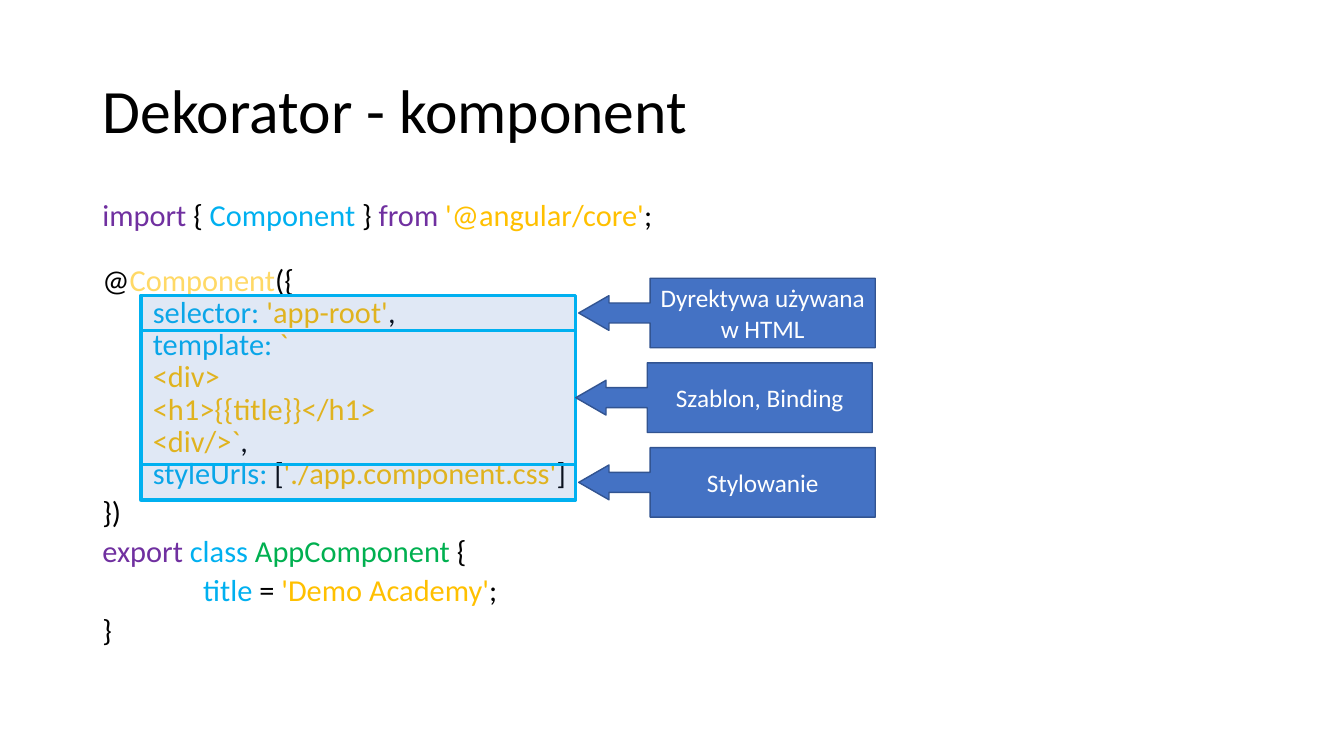
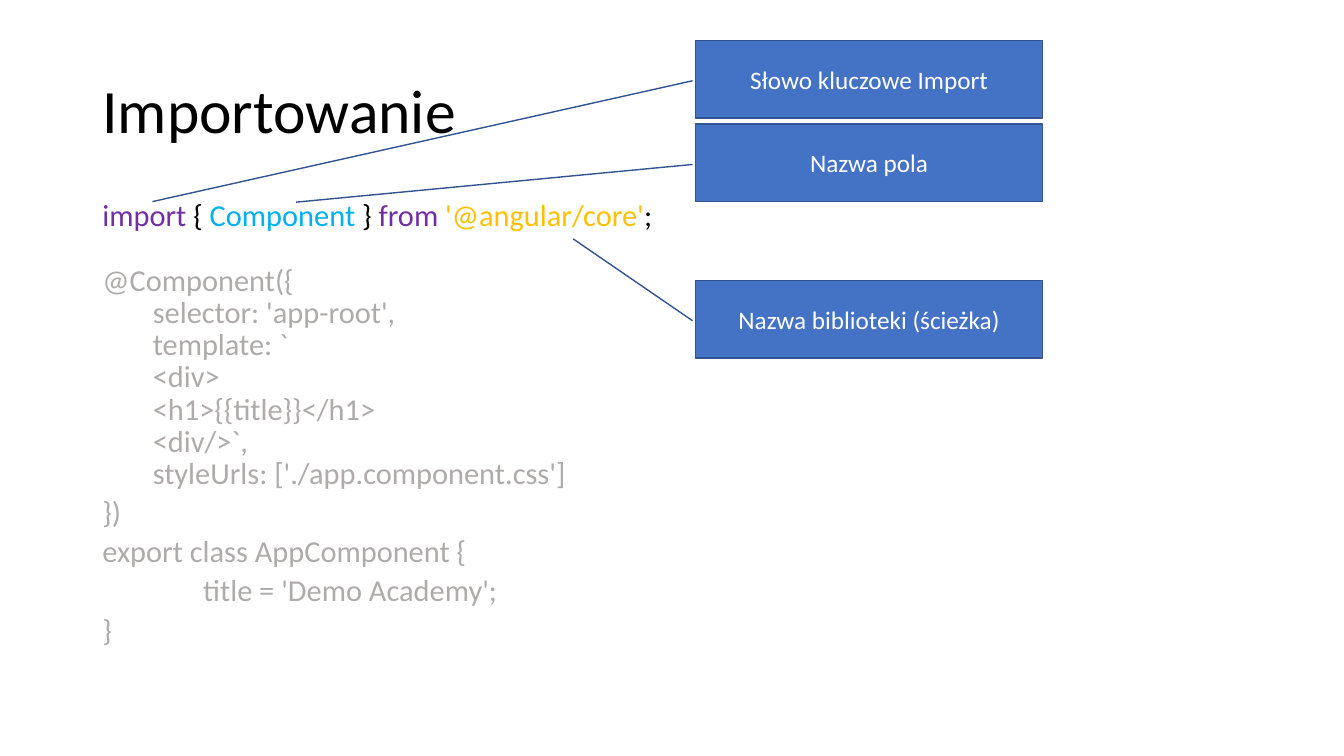
"""Builds two slides that explain an Angular component and its import."""
from itertools import accumulate

from lxml.etree import SubElement
from pptx import Presentation
from pptx.dml.color import RGBColor
from pptx.enum.shapes import MSO_SHAPE
from pptx.enum.text import MSO_ANCHOR, MSO_AUTO_SIZE, PP_ALIGN
from pptx.oxml.ns import qn
from pptx.util import Inches, Pt

W, H = Inches(13.33), Inches(7.5)
FONT = "Calibri"
COLORS = {
    "black": "000000", "white": "FFFFFF", "keyword": "7030A0",
    "name": "00B0F0", "string": "FFC000", "decorator": "FFD966",
    "type": "00B050", "muted": "AFABAB", "accent": "4472C4", "edge": "325491",
}
LEFT, WIDTH = 6.88, 86.27
TITLE_BOX = (LEFT, 5.33, WIDTH, 19.33)
CODE_BOX = (LEFT, 26.67, WIDTH, 63.47)

# (indent in inches, space before in points, coloured parts)
CODE = [
    (0, 10, [("import", "keyword"), (" { ", "black"), ("Component", "name"),
             (" } ", "black"), ("from ", "keyword"),
             ("'@angular/core'", "string"), (";", "black")]),
    (0, 28.3, [("@", "black"), ("Component", "decorator"), ("({", "black")]),
    (0.5, 5, [("selector: ", "name"), ("'app-root'", "string"), (",", "black")]),
    (0.5, 5, [("template: ", "name"), ("`", "string")]),
    (0.5, 5, [("<div>", "string")]),
    (0.5, 5, [("<h1>{{title}}</h1>", "string")]),
    (0.5, 5, [("<div/>`", "string"), (",", "black")]),
    (0.5, 5, [("styleUrls:", "name"), (" [", "black"),
              ("'./app.component.css'", "string"), ("]", "black")]),
    (0, 10, [("})", "black")]),
    (0, 10, [("export ", "keyword"), ("class ", "name"),
             ("AppComponent", "type"), (" {", "black")]),
    (1, 10, [("title", "name"), (" = ", "black"),
             ("'Demo Academy'", "string"), (";", "black")]),
    (0, 10, [("}", "black")]),
]


def rgb(key):
    return RGBColor.from_string(COLORS[key])


def box(x, y, w, h):
    """Turns percentages of the slide's size into lengths."""
    return [int(v * side / 100) for v, side in zip((x, y, w, h), (W, H, W, H))]


def style_run(r, size, color):
    r.font.name, r.font.size = FONT, Pt(size)
    r.font.color.rgb = rgb(color)


def add_titled_slide(prs, title):
    s = prs.slides.add_slide(prs.slide_layouts[5])
    sp = s.shapes.title
    sp.left, sp.top, sp.width, sp.height = box(*TITLE_BOX)
    tf = sp.text_frame
    tf.text = title
    tf.auto_size = MSO_AUTO_SIZE.NONE
    tf.vertical_anchor = MSO_ANCHOR.MIDDLE
    p = tf.paragraphs[0]
    p.alignment, p.line_spacing = PP_ALIGN.LEFT, 0.9
    style_run(p.runs[0], 44, "black")
    return s


def add_code(s, muted=False):
    """Writes the listing; when muted, only its first line keeps its colours."""
    tf = s.shapes.add_textbox(*box(*CODE_BOX)).text_frame
    tf.word_wrap = True
    for i, (indent, gap, parts) in enumerate(CODE):
        p = tf.add_paragraph() if i else tf.paragraphs[0]
        p.line_spacing, p.space_before = 0.69, Pt(gap)
        p._p.get_or_add_pPr().set("marL", str(Inches(indent)))
        for text, color in parts:
            r = p.add_run()
            r.text = text
            style_run(r, 21.7, "muted" if muted and i else color)


def add_box(shapes, kind, place, line, weight, adj=()):
    sp = shapes.add_shape(kind, *box(*place))
    sp.shadow.inherit = False
    sp.fill.solid()
    sp.fill.fore_color.rgb = rgb("accent")
    sp.line.color.rgb, sp.line.width = rgb(line), Pt(weight)
    for i, value in enumerate(adj):
        sp.adjustments[i] = value
    return sp


def add_frame(shapes, place):
    sp = add_box(shapes, MSO_SHAPE.RECTANGLE, place, "name", 2.5)
    color = sp._element.spPr.find(qn("a:solidFill"))[0]
    SubElement(color, qn("a:alpha")).set("val", "16000")


def add_callout(shapes, kind, place, adj, text):
    sp = add_box(shapes, kind, place, "edge", 1, adj)
    tf = sp.text_frame
    tf.text = text
    tf.word_wrap = True
    tf.vertical_anchor = MSO_ANCHOR.MIDDLE
    p = tf.paragraphs[0]
    p.alignment = PP_ALIGN.CENTER
    style_run(p.runs[0], 18, "white")


def build_component(prs):
    s = add_titled_slide(prs, "Dekorator - komponent")
    add_code(s)
    heights = [4.67, 17.73, 4.67]
    tops = accumulate(heights[:-1], initial=39.07)
    labels = [("Dyrektywa używana w HTML", 43.06), ("Szablon, Binding", 42.84),
              ("Stylowanie", 43.06)]
    callout_h = 9.2
    for top, h, (text, x) in zip(tops, heights, labels):
        shapes = s.shapes.add_group_shape().shapes
        add_frame(shapes, (10.5, top, 32.33, h))
        place = (x, top + (h - callout_h) / 2, 22.06, callout_h)
        add_callout(shapes, MSO_SHAPE.LEFT_ARROW_CALLOUT, place,
                    (0.287, 0.25, 0.435, 0.759), text)


def build_import(prs):
    s = add_titled_slide(prs, "Importowanie")
    add_code(s, muted=True)
    for text, top, tip in [
        ("Słowo kluczowe Import", 5.33, (2.079, -1.566)),
        ("Nazwa pola", 16.4, (1.008, -1.152)),
        ("Nazwa biblioteki (ścieżka)", 37.07, (-0.532, -0.353)),
    ]:
        add_callout(s.shapes, MSO_SHAPE.LINE_CALLOUT_1,
                    (51.76, top, 25.81, 10.27), (0.522, -0.009, *tip), text)


def main():
    prs = Presentation()
    prs.slide_width, prs.slide_height = W, H
    build_component(prs)
    build_import(prs)
    prs.save("out.pptx")


if __name__ == "__main__":
    main()
